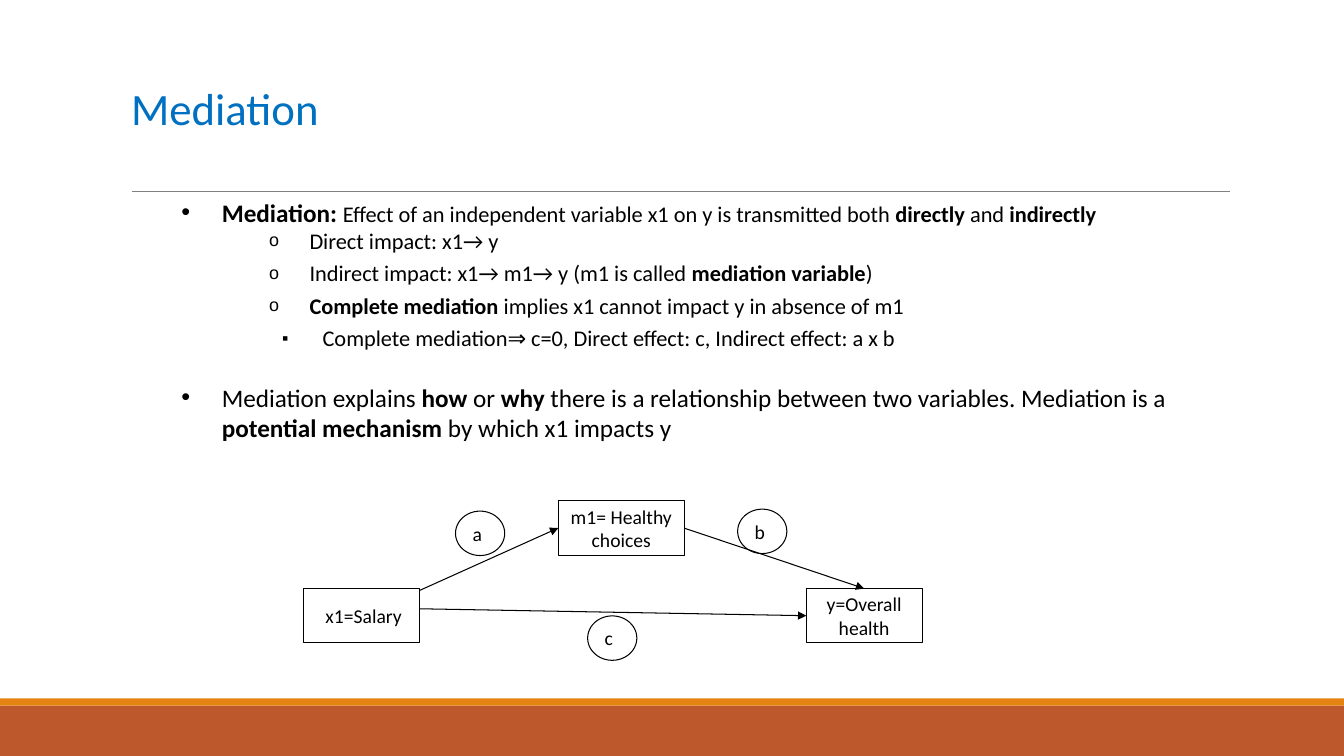
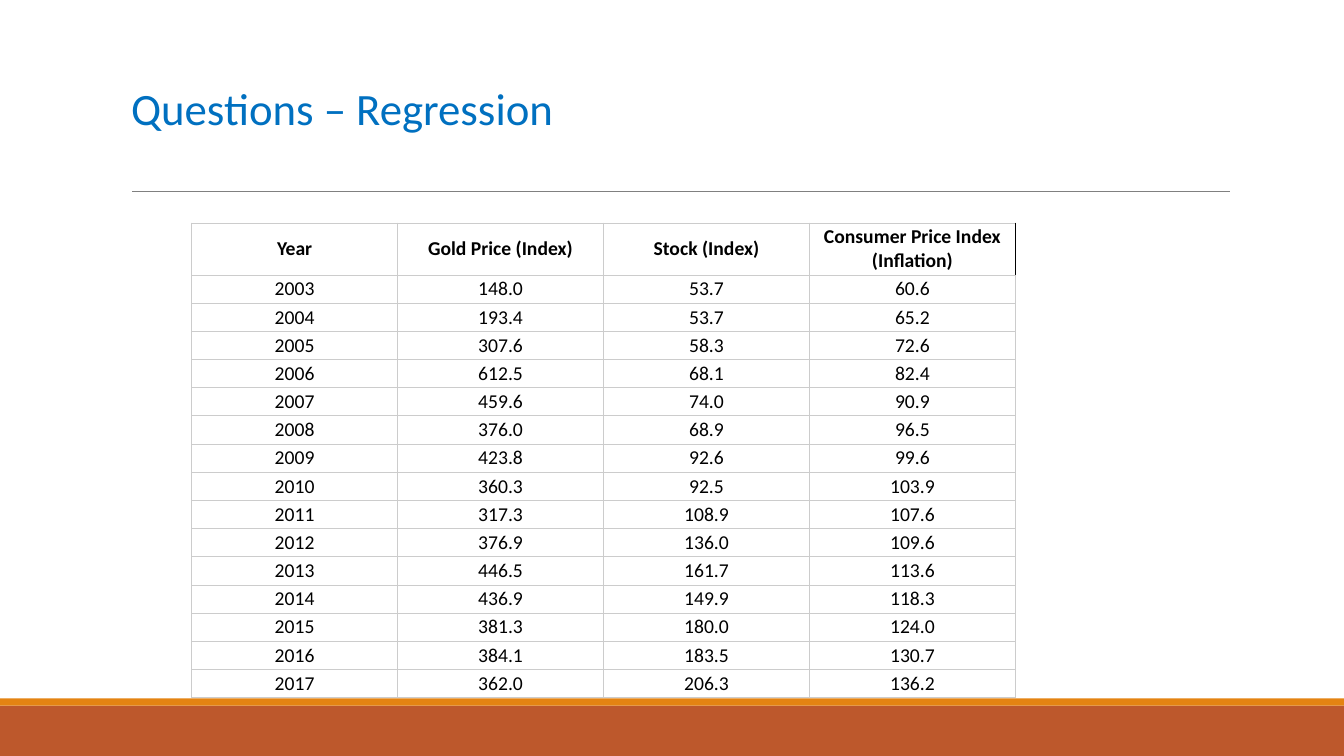
from dataclasses import dataclass

from lxml import etree
from pptx import Presentation
from pptx.dml.color import RGBColor
from pptx.enum.shapes import MSO_CONNECTOR, MSO_SHAPE
from pptx.enum.text import MSO_ANCHOR, MSO_AUTO_SIZE, PP_ALIGN
from pptx.oxml.ns import qn
from pptx.util import Cm, Pt

RECTANGLE, ELLIPSE = MSO_SHAPE.RECTANGLE, MSO_SHAPE.OVAL
STRAIGHT = MSO_CONNECTOR.STRAIGHT
LEFT, CENTER = PP_ALIGN.LEFT, PP_ALIGN.CENTER
TOP, MIDDLE = MSO_ANCHOR.TOP, MSO_ANCHOR.MIDDLE
NO_AUTOFIT = MSO_AUTO_SIZE.NONE

BLACK = RGBColor(0x00, 0x00, 0x00)
TITLE_BLUE = RGBColor(0x00, 0x70, 0xC0)
BAND_RUST = RGBColor(0xBD, 0x58, 0x2C)
BAND_ORANGE = RGBColor(0xE4, 0x83, 0x12)
RULE_GRAY = RGBColor(0x80, 0x80, 0x80)
GRID_GRAY = RGBColor(0xCC, 0xCC, 0xCC)

FONT = "Calibri"
SLIDE_WIDTH, SLIDE_HEIGHT = Cm(33.87), Cm(19.05)
LAYOUT_CONTENT, LAYOUT_TITLE_ONLY = 1, 5
SITE_TOP, SITE_LEFT = 0, 1  # connection sites of a rectangle


@dataclass(frozen=True)
class TextRun:
    text: str
    bold: bool = False
    size: int = 16


@dataclass(frozen=True)
class BulletStyle:
    level: int
    indent: float  # cm
    character: str
    size_percent: int = 100
    space_after: int = 0


@dataclass(frozen=True)
class Bullet:
    style: BulletStyle
    runs: tuple[TextRun, ...]
    space_before: int = 0


@dataclass(frozen=True)
class Node:
    name: str
    text: str
    left: float
    top: float
    width: float
    height: float


@dataclass(frozen=True)
class Arrow:
    begin_x: float
    begin_y: float
    target: str
    site: int


MAIN = BulletStyle(1, 2.54, "•")
DETAIL = BulletStyle(3, 4.75, "o", 80, 4)
NOTE = BulletStyle(6, 5.08, "▪", 80)
HANGING = Cm(1.02)

BULLETS = (
    Bullet(MAIN, (
        TextRun("Mediation: ", True, 18),
        TextRun("Effect of an independent variable x1 on y is transmitted both "),
        TextRun("directly", True),
        TextRun(" and "),
        TextRun("indirectly", True),
    )),
    Bullet(DETAIL, (TextRun("Direct impact: x1→ y"),)),
    Bullet(DETAIL, (
        TextRun("Indirect impact: x1→ m1→ y (m1 is called "),
        TextRun("mediation variable", True),
        TextRun(")"),
    )),
    Bullet(DETAIL, (
        TextRun("Complete mediation ", True),
        TextRun("implies x1 cannot impact y in absence of m1"),
    )),
    Bullet(NOTE, (
        TextRun("Complete mediation⇒ c=0, Direct effect: c, Indirect effect: a x b"),
    )),
    Bullet(MAIN, (
        TextRun("Mediation explains ", size=18),
        TextRun("how", True, 18),
        TextRun(" or ", size=18),
        TextRun("why", True, 18),
        TextRun(" there is a relationship between two variables. Mediation is a ", size=18),
        TextRun("potential mechanism ", True, 18),
        TextRun("by which x1 impacts y", size=18),
    ), space_before=22),
)

VARIABLES = (
    Node("x1", " x1=Salary", 7.65, 14.83, 2.92, 1.37),
    Node("y", "y=Overall health", 20.32, 14.83, 2.92, 1.37),
    Node("m1", "m1= Healthy choices", 14.07, 12.62, 3.18, 1.37),
)
ARROWS = (
    Arrow(17.25, 13.31, "y", SITE_TOP),
    Arrow(10.57, 14.88, "m1", SITE_LEFT),
    Arrow(10.57, 15.34, "y", SITE_LEFT),
)
EFFECTS = (
    Node("a", "a", 11.48, 12.88, 1.24, 1.12),
    Node("c", "c", 14.81, 15.52, 1.24, 1.12),
    Node("b", "b", 18.59, 12.83, 1.24, 1.12),
)

HEADERS = ("Year", "Gold Price (Index)", "Stock (Index)", "Consumer Price Index (Inflation)")
INDEX_VALUES = (
    (2003, 148.0, 53.7, 60.6),
    (2004, 193.4, 53.7, 65.2),
    (2005, 307.6, 58.3, 72.6),
    (2006, 612.5, 68.1, 82.4),
    (2007, 459.6, 74.0, 90.9),
    (2008, 376.0, 68.9, 96.5),
    (2009, 423.8, 92.6, 99.6),
    (2010, 360.3, 92.5, 103.9),
    (2011, 317.3, 108.9, 107.6),
    (2012, 376.9, 136.0, 109.6),
    (2013, 446.5, 161.7, 113.6),
    (2014, 436.9, 149.9, 118.3),
    (2015, 381.3, 180.0, 124.0),
    (2016, 384.1, 183.5, 130.7),
    (2017, 362.0, 206.3, 136.2),
)


# Text and line helpers
def add_run(paragraph, text: str, size: int, color: RGBColor = BLACK, bold: bool = False) -> None:
    run = paragraph.add_run()
    run.text = text
    run.font.name = FONT
    run.font.size = Pt(size)
    run.font.bold = bold
    run.font.color.rgb = color


def set_margins(target, horizontal: float, vertical: float) -> None:
    target.margin_left = target.margin_right = Cm(horizontal)
    target.margin_top = target.margin_bottom = Cm(vertical)


def place(shape, left: float, top: float, width: float, height: float) -> None:
    shape.left, shape.top, shape.width, shape.height = map(Cm, (left, top, width, height))


def style_connector(connector, color: RGBColor, width: float) -> None:
    connector.line.color.rgb = color
    connector.line.width = Pt(width)
    etree.SubElement(connector.element.spPr, qn("a:effectLst"))


# Parts shared by all slides
def add_band(slide, top: float, height: float, color: RGBColor) -> None:
    band = slide.shapes.add_shape(RECTANGLE, 0, Cm(top), SLIDE_WIDTH, Cm(height))
    band.shadow.inherit = False
    band.fill.solid()
    band.fill.fore_color.rgb = color
    band.line.fill.background()


def add_slide(presentation, layout: int, title_text: str):
    slide = presentation.slides.add_slide(presentation.slide_layouts[layout])
    add_band(slide, 17.78, 1.27, BAND_RUST)
    add_band(slide, 17.6, 0.18, BAND_ORANGE)
    rule = slide.shapes.add_connector(STRAIGHT, Cm(3.33), Cm(4.83), Cm(31), Cm(4.83))
    style_connector(rule, RULE_GRAY, 0.5)

    title = slide.shapes.title
    place(title, 3.05, 0.79, 27.94, 4.04)
    frame = title.text_frame
    frame.auto_size = NO_AUTOFIT
    frame.vertical_anchor = MIDDLE
    paragraph = frame.paragraphs[0]
    paragraph.alignment = LEFT
    paragraph.line_spacing = 0.85
    add_run(paragraph, title_text, 32, TITLE_BLUE)
    return slide


# Bulleted list
def add_bullet(paragraph, bullet: Bullet) -> None:
    style = bullet.style
    paragraph.level = style.level
    paragraph.alignment = LEFT
    paragraph.space_before = Pt(bullet.space_before)
    paragraph.space_after = Pt(style.space_after)
    properties = paragraph._p.get_or_add_pPr()
    properties.set("marL", str(Cm(style.indent)))
    properties.set("indent", str(-HANGING))
    etree.SubElement(properties, qn("a:buSzPct"), val=str(style.size_percent * 1000))
    etree.SubElement(properties, qn("a:buChar"), char=style.character)
    for run in bullet.runs:
        add_run(paragraph, run.text, run.size, bold=run.bold)


def fill_body(body) -> None:
    place(body, 3.05, 4.83, 27.94, 3.2)
    frame = body.text_frame
    frame.auto_size = NO_AUTOFIT
    frame.vertical_anchor = TOP
    set_margins(frame, 0, 0.13)
    for index, bullet in enumerate(BULLETS):
        paragraph = frame.add_paragraph() if index else frame.paragraphs[0]
        add_bullet(paragraph, bullet)


# Mediation diagram
def add_node(group, node: Node, preset: MSO_SHAPE, alignment: PP_ALIGN):
    shape = group.shapes.add_shape(
        preset, Cm(node.left), Cm(node.top), Cm(node.width), Cm(node.height))
    shape.shadow.inherit = False
    shape.fill.background()
    shape.line.color.rgb = BLACK
    shape.line.width = Pt(0.75)
    frame = shape.text_frame
    frame.word_wrap = True
    frame.vertical_anchor = MIDDLE
    set_margins(frame, 0.25, 0.25)
    paragraph = frame.paragraphs[0]
    paragraph.alignment = alignment
    add_run(paragraph, node.text, 14)
    return shape


def add_arrow(group, arrow: Arrow, target) -> None:
    begin_x, begin_y = Cm(arrow.begin_x), Cm(arrow.begin_y)
    connector = group.shapes.add_connector(STRAIGHT, begin_x, begin_y, begin_x, begin_y)
    connector.end_connect(target, arrow.site)
    style_connector(connector, BLACK, 0.75)
    line = connector.element.spPr.get_or_add_ln()
    etree.SubElement(line, qn("a:tailEnd"), type="triangle")


def add_diagram(slide) -> None:
    group = slide.shapes.add_group_shape()
    boxes = {node.name: add_node(group, node, RECTANGLE, CENTER) for node in VARIABLES}
    for arrow in ARROWS:
        add_arrow(group, arrow, boxes[arrow.target])
    for node in EFFECTS:
        add_node(group, node, ELLIPSE, LEFT)


# Index table
def add_border(cell, side: str, color: RGBColor) -> None:
    properties = cell._tc.get_or_add_tcPr()
    line = etree.SubElement(properties, qn(f"a:ln{side}"), w=str(Pt(0.75)))
    fill = etree.SubElement(line, qn("a:solidFill"))
    etree.SubElement(fill, qn("a:srgbClr"), val=str(color))


def fill_cell(cell, text: str, bold: bool, right_color: RGBColor) -> None:
    for side in "LRTB":
        add_border(cell, side, right_color if side == "R" else GRID_GRAY)
    cell.fill.background()
    cell.vertical_anchor = MIDDLE
    set_margins(cell, 0.08, 0.05)
    paragraph = cell.text_frame.paragraphs[0]
    paragraph.alignment = CENTER
    add_run(paragraph, text, 14, bold=bold)


def add_index_table(slide) -> None:
    rows = [HEADERS] + [(str(year), *(f"{value:.1f}" for value in values))
                        for year, *values in INDEX_VALUES]
    table = slide.shapes.add_table(
        len(rows), len(HEADERS), Cm(4.83), Cm(5.62), Cm(20.76), Cm(11.96)).table
    table.first_row = table.horz_banding = False
    for column in table.columns:
        column.width = Cm(5.19)
    for row_index, texts in enumerate(rows):
        header = row_index == 0
        table.rows[row_index].height = Cm(1.31 if header else 0.71)
        for column_index, text in enumerate(texts):
            corner = header and column_index == len(HEADERS) - 1
            fill_cell(table.cell(row_index, column_index), text, header,
                      BLACK if corner else GRID_GRAY)


def main() -> None:
    presentation = Presentation()
    presentation.slide_width, presentation.slide_height = SLIDE_WIDTH, SLIDE_HEIGHT

    mediation = add_slide(presentation, LAYOUT_CONTENT, "Mediation")
    fill_body(mediation.placeholders[1])
    add_diagram(mediation)

    questions = add_slide(presentation, LAYOUT_TITLE_ONLY, "Questions – Regression")
    add_index_table(questions)

    presentation.save("out.pptx")


if __name__ == "__main__":
    main()
